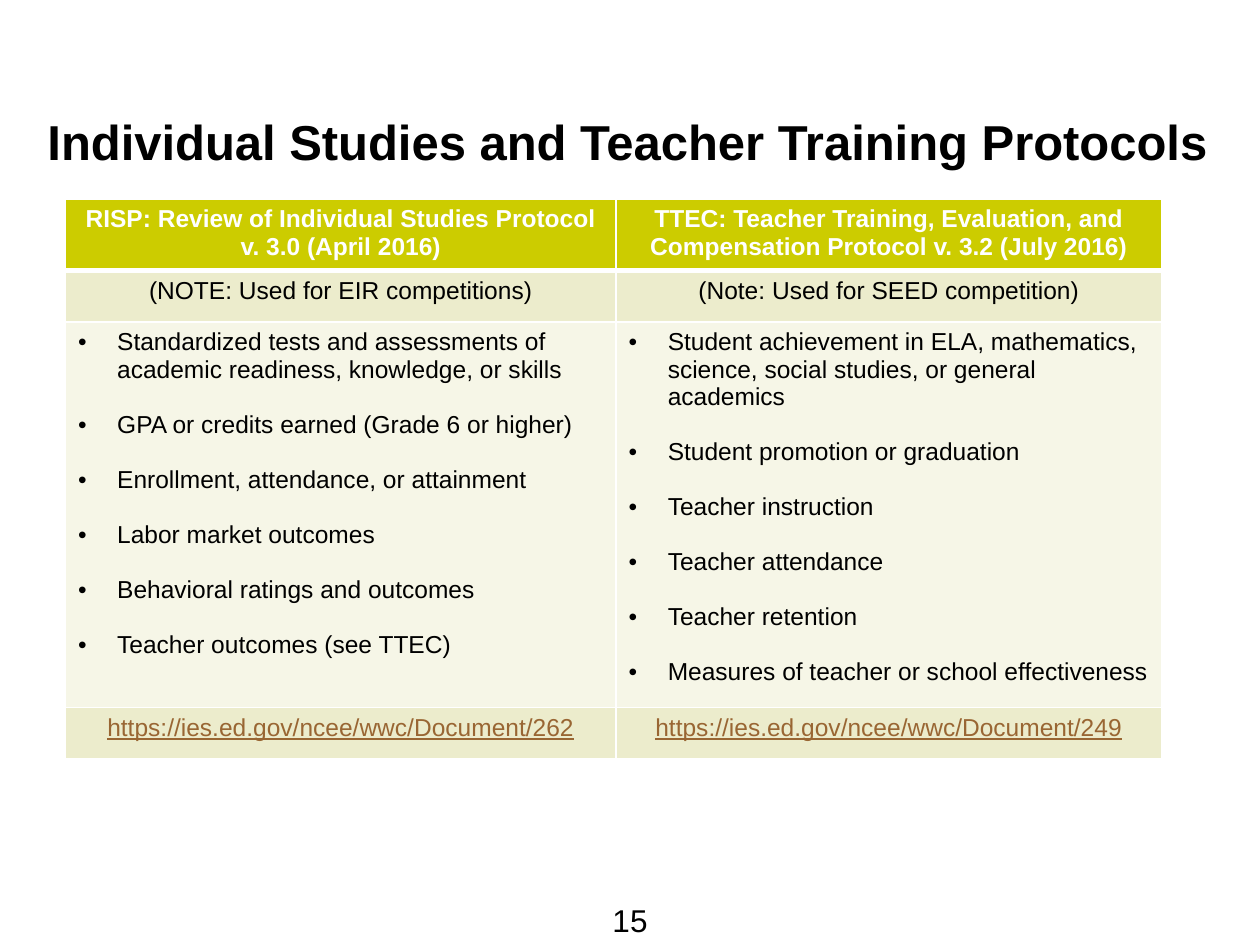
from lxml.etree import SubElement
from pptx import Presentation
from pptx.dml.color import RGBColor
from pptx.enum.text import MSO_ANCHOR, PP_ALIGN
from pptx.oxml.ns import qn
from pptx.util import Inches, Pt

BLACK = RGBColor(0x00, 0x00, 0x00)
WHITE = RGBColor(0xFF, 0xFF, 0xFF)
LIME = RGBColor(0xCC, 0xCC, 0x00)
LIGHT_LIME = RGBColor(0xEC, 0xEC, 0xCC)
PALE_LIME = RGBColor(0xF6, 0xF6, 0xE7)
LINK_BROWN = RGBColor(0x99, 0x66, 0x33)

TITLE = "Individual Studies and Teacher Training Protocols"
HEADINGS = [
    "RISP: Review of Individual Studies Protocol v. 3.0 (April 2016)",
    "TTEC: Teacher Training, Evaluation, and Compensation Protocol v. 3.2 (July 2016)",
]
NOTES = ["(NOTE: Used for EIR competitions)", "(Note: Used for SEED competition)"]
OUTCOMES = [
    [
        "Standardized tests and assessments of academic readiness, knowledge, or skills",
        "GPA or credits earned (Grade 6 or higher)",
        "Enrollment, attendance, or attainment",
        "Labor market outcomes",
        "Behavioral ratings and outcomes",
        "Teacher outcomes (see TTEC)",
    ],
    [
        "Student achievement in ELA, mathematics, science, social studies, or general academics",
        "Student promotion or graduation",
        "Teacher instruction",
        "Teacher attendance",
        "Teacher retention",
        "Measures of teacher or school effectiveness",
    ],
]
LINKS = [f"https://ies.ed.gov/ncee/wwc/Document/{number}" for number in (262, 249)]

COLUMN_WIDTHS = [4.37, 4.33]
ROW_HEIGHTS = [0.53, 0.41, 2.94, 0.41]
ROW_FILLS = [LIME, LIGHT_LIME, PALE_LIME, LIGHT_LIME]


def format_para(para, size, color=BLACK, bold=False, underline=False):
    para.font.name = "Arial"
    para.font.size = Pt(size)
    para.font.color.rgb = color
    para.font.bold = bold
    para.font.underline = underline


def add_title(page, left, top, width, height):
    title = page.shapes.title
    title.left, title.top, title.width, title.height = left, top, width, height
    frame = title.text_frame
    frame.text = TITLE
    frame.word_wrap = False
    frame.vertical_anchor = MSO_ANCHOR.MIDDLE
    frame.paragraphs[0].alignment = PP_ALIGN.CENTER
    format_para(frame.paragraphs[0], 28, bold=True)


def add_page_number(page, left, top, width, height):
    frame = page.shapes.add_textbox(left, top, width, height).text_frame
    frame.word_wrap = False
    para = frame.paragraphs[0]
    para.text = "15"
    para.alignment = PP_ALIGN.CENTER
    format_para(para, 18)


def set_borders(cell, top, bottom):
    """Draw white cell borders; top and bottom are widths in points."""
    properties = cell._tc.get_or_add_tcPr()
    for side, width in (("L", 1), ("R", 1), ("T", top), ("B", bottom)):
        line = SubElement(properties, qn(f"a:ln{side}"), w=str(Pt(width)))
        fill = SubElement(line, qn("a:solidFill"))
        SubElement(fill, qn("a:srgbClr"), val=str(WHITE))


def write_centered(cell, text, **style):
    para = cell.text_frame.paragraphs[0]
    para.text = text
    para.alignment = PP_ALIGN.CENTER
    format_para(para, 14, **style)


def write_bullets(cell, items):
    frame = cell.text_frame
    for index, item in enumerate(items):
        para = frame.add_paragraph() if index else frame.paragraphs[0]
        para.text = item
        para.space_before = Pt(15.7 if index else 0)
        format_para(para, 14)
        properties = para._p.get_or_add_pPr()
        properties.set("marL", str(Inches(0.31)))
        properties.set("indent", str(-Inches(0.31)))
        # Bullet elements must come before the default run properties.
        defaults = properties.find(qn("a:defRPr"))
        font = SubElement(properties, qn("a:buFont"), typeface="Arial")
        bullet = SubElement(properties, qn("a:buChar"), char="•")
        if defaults is not None:
            defaults.addprevious(font)
            defaults.addprevious(bullet)


def add_protocol_table(page, left, top, width, height):
    table = page.shapes.add_table(4, 2, left, top, width, height).table
    for column, column_width in zip(table.columns, COLUMN_WIDTHS):
        column.width = Inches(column_width)
    for index, (row, row_height) in enumerate(zip(table.rows, ROW_HEIGHTS)):
        row.height = Inches(row_height)
        for cell in row.cells:
            set_borders(cell, top=3 if index == 1 else 1, bottom=3 if index == 0 else 1)
            cell.fill.solid()
            cell.fill.fore_color.rgb = ROW_FILLS[index]
    for column in range(2):
        write_centered(table.cell(0, column), HEADINGS[column], color=WHITE, bold=True)
        write_centered(table.cell(1, column), NOTES[column])
        write_bullets(table.cell(2, column), OUTCOMES[column])
        write_centered(table.cell(3, column), LINKS[column], color=LINK_BROWN, underline=True)


def main():
    deck = Presentation()
    deck.slide_width, deck.slide_height = Inches(10), Inches(7.5)
    page = deck.slides.add_slide(deck.slide_layouts[5])
    add_title(page, Inches(0.17), Inches(0.77), Inches(9.62), Inches(0.69))
    add_page_number(page, Inches(4.76), Inches(7.1), Inches(0.48), Inches(0.4))
    add_protocol_table(page, Inches(0.52), Inches(1.58),
                       Inches(sum(COLUMN_WIDTHS)), Inches(sum(ROW_HEIGHTS)))
    deck.save("out.pptx")


if __name__ == "__main__":
    main()
